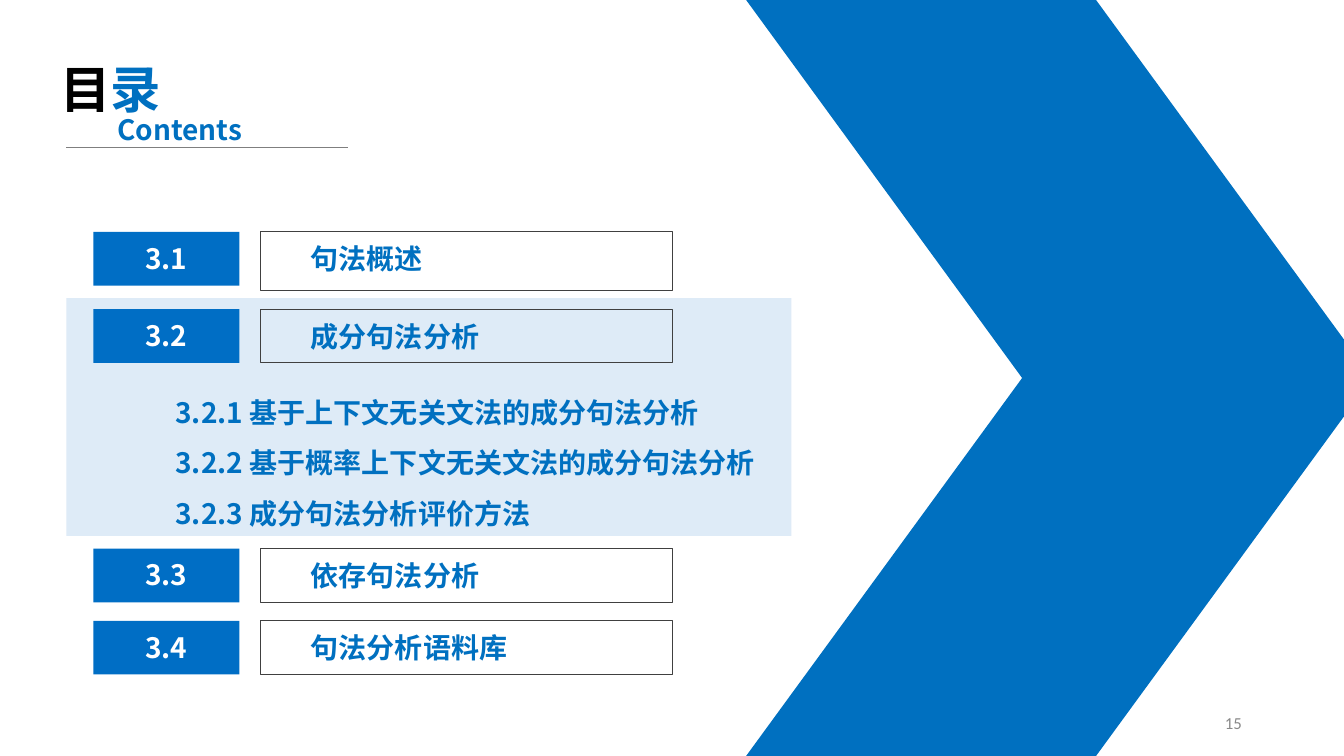
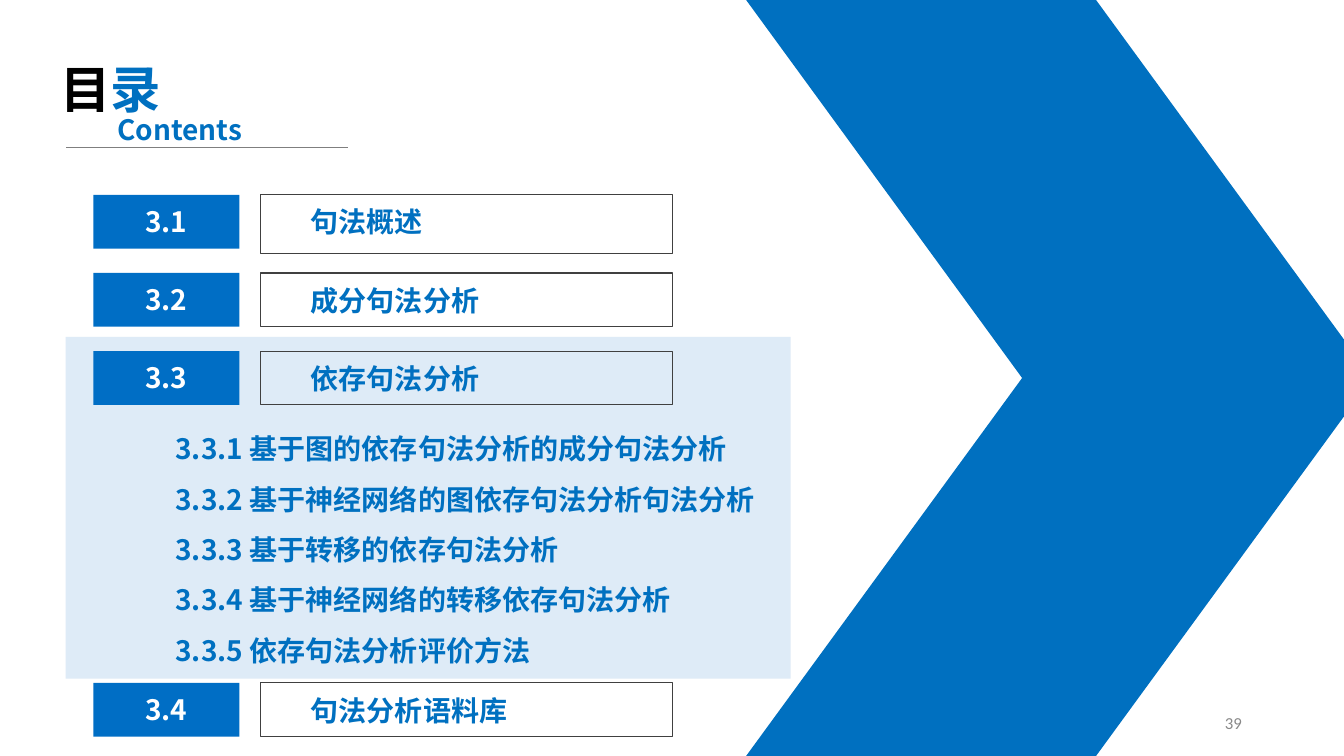
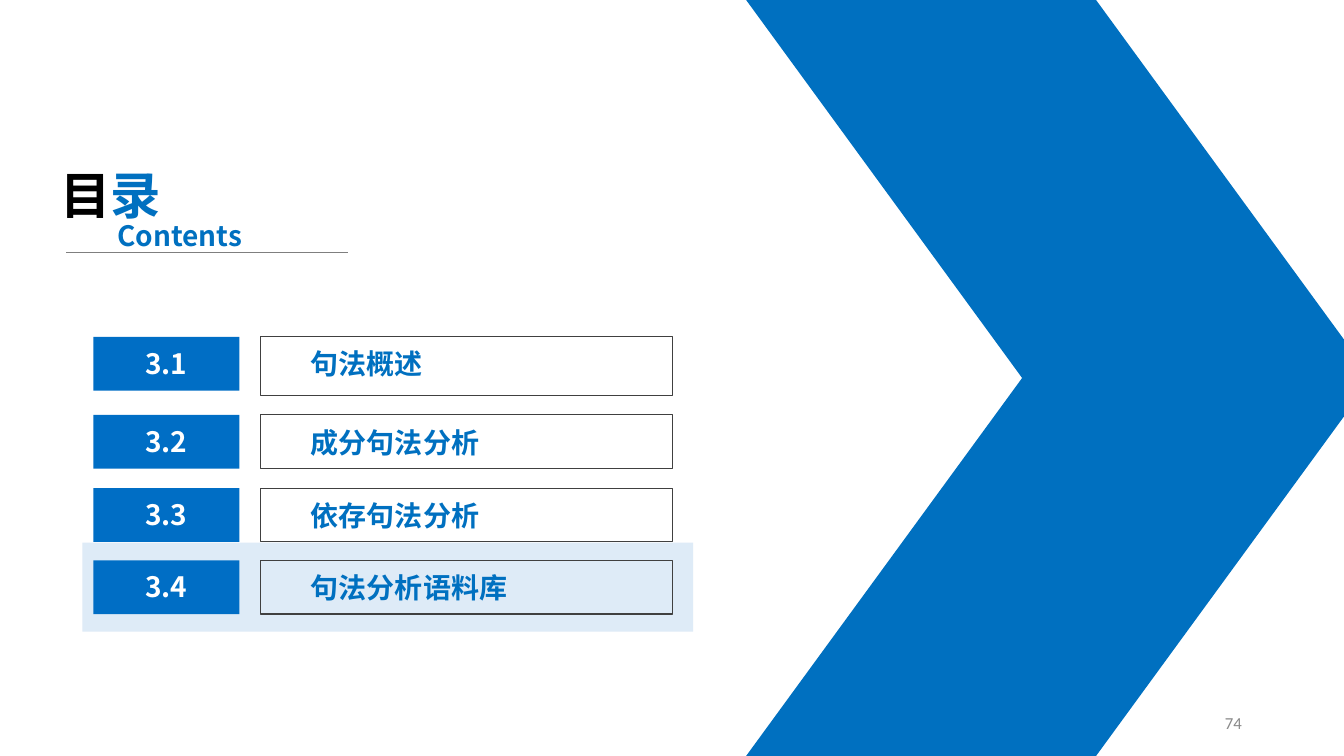
from dataclasses import dataclass

from lxml import etree
from pptx import Presentation
from pptx.dml.color import RGBColor
from pptx.enum.shapes import MSO_CONNECTOR, MSO_SHAPE
from pptx.enum.text import MSO_ANCHOR, PP_ALIGN
from pptx.oxml.ns import qn
from pptx.util import Emu, Inches, Pt

RECT, PARALLELOGRAM = MSO_SHAPE.RECTANGLE, MSO_SHAPE.PARALLELOGRAM
STRAIGHT = MSO_CONNECTOR.STRAIGHT
TOP, MIDDLE = MSO_ANCHOR.TOP, MSO_ANCHOR.MIDDLE
LEFT, CENTER, RIGHT = PP_ALIGN.LEFT, PP_ALIGN.CENTER, PP_ALIGN.RIGHT

WIDTH, HEIGHT = Inches(13.33), Inches(7.5)
ROWS = 90
CELL = HEIGHT / ROWS  # square cells, 160 columns by 90 rows

COLORS = {
    "blue": "0070C0", "badge": "006EC5", "panel": "DEEBF7", "white": "FFFFFF",
    "black": "000000", "border": "404040", "rule": "7F7F7F", "page": "898989",
}
HEADING = "Noto Sans CJK SC"
ITEM = {"name": HEADING, "size": Pt(20), "bold": True}
TITLE = ITEM | {"size": Pt(36)}
PAGE = {"name": "Calibri", "size": Pt(12), "bold": False}

BADGE_LEFT, BADGE_WIDTH = 11.1, 17.4
LABEL_LEFT, LABEL_WIDTH = 31, 49
ITEM_HEIGHT, FIRST_LABEL_HEIGHT = 6.4, 7
TOPICS = ("句法概述", "成分句法分析", "依存句法分析", "句法分析语料库")


@dataclass(frozen=True)
class Box:
    """A rectangle in grid columns and rows."""
    left: float
    top: float
    width: float
    height: float

    def emu(self) -> list[Emu]:
        return [grid(v) for v in (self.left, self.top, self.width, self.height)]


@dataclass(frozen=True)
class Contents:
    page: int
    title_top: float
    item_tops: tuple[float, ...]
    panel: Box
    subtopics_top: float = 0
    subtopics: tuple[str, ...] = ()


SLIDES = (
    Contents(15, 6.3, (27.6, 36.8, 65.3, 73.9), Box(7.9, 35.5, 86.3, 28.3), 44.5, (
        "3.2.1 基于上下文无关文法的成分句法分析",
        "3.2.2 基于概率上下文无关文法的成分句法分析",
        "3.2.3 成分句法分析评价方法",
    )),
    Contents(39, 6.3, (23.2, 32.5, 41.8, 81.3), Box(7.8, 40.1, 86.3, 40.7), 48.8, (
        "3.3.1 基于图的依存句法分析的成分句法分析",
        "3.3.2 基于神经网络的图依存句法分析句法分析",
        "3.3.3 基于转移的依存句法分析",
        "3.3.4 基于神经网络的转移依存句法分析",
        "3.3.5 依存句法分析评价方法",
    )),
    Contents(74, 18.9, (40.1, 49.4, 58.1, 66.7), Box(9.8, 64.6, 72.7, 10.6)),
)


def grid(cells: float) -> Emu:
    return Emu(round(cells * CELL))


def rgb(color: str) -> RGBColor:
    return RGBColor.from_string(COLORS[color])


def add_run(p, text: str, color: str, style: dict) -> None:
    r = p.add_run()
    r.text = text
    for name, value in style.items():
        setattr(r.font, name, value)
    r.font.color.rgb = rgb(color)
    ea = etree.SubElement(r.font._element, qn("a:ea"))
    ea.set("typeface", style["name"])


def format_frame(tf, insets: tuple[float, float], anchor=TOP) -> None:
    """Wrap the text, with side and top insets given in cells."""
    side, top = map(grid, insets)
    values = {"word_wrap": True, "vertical_anchor": anchor, "margin_left": side,
              "margin_right": side, "margin_top": top, "margin_bottom": 0}
    for name, value in values.items():
        setattr(tf, name, value)


def add_text(slide, box: Box, lines: list, style: dict, align=LEFT,
             anchor=TOP, spacing: float = 1.0) -> None:
    """Add a text box; each line is a list of (text, color) runs."""
    tf = slide.shapes.add_textbox(*box.emu()).text_frame
    format_frame(tf, (1.2, 0.6), anchor)
    for i, runs in enumerate(lines):
        p = tf.add_paragraph() if i else tf.paragraphs[0]
        p.alignment, p.line_spacing = align, spacing
        for text, color in runs:
            add_run(p, text, color, style)


def add_block(slide, box: Box, fill: str = "", line: str = "", kind=RECT):
    s = slide.shapes.add_shape(kind, *box.emu())
    s.shadow.inherit = False
    if fill:
        s.fill.solid()
        s.fill.fore_color.rgb = rgb(fill)
    else:
        s.fill.background()
    if line:
        s.line.color.rgb = rgb(line)
        s.line.width = Pt(0.75)
    else:
        s.line.fill.background()
    return s


def fill_block(s, text: str, color: str, insets: tuple[float, float], align) -> None:
    format_frame(s.text_frame, insets)
    p = s.text_frame.paragraphs[0]
    p.alignment = align
    add_run(p, text, color, ITEM)


def add_chevron(slide) -> None:
    """Mirror two parallelograms about the middle of the slide."""
    half = ROWS / 2
    for top, flipped in ((half, False), (0, True)):
        s = add_block(slide, Box(88.8, top, 74.5, half), "blue", kind=PARALLELOGRAM)
        s.adjustments[0] = 0.73
        if flipped:
            s._element.spPr.get_or_add_xfrm().set("flipV", "1")


def add_title(slide, top: float) -> None:
    add_text(slide, Box(6, top, 18.8, 8.5), [[("目", "black"), ("录", "blue")]], TITLE)
    add_text(slide, Box(12.8, top + 6.5, 18.8, 5.3), [[("Contents", "blue")]], ITEM)
    y = grid(top + 11.2)
    rule = slide.shapes.add_connector(STRAIGHT, grid(7.9), y, grid(41.4), y)
    rule.line.color.rgb = rgb("rule")
    rule.line.width = Pt(0.5)
    etree.SubElement(rule._element.spPr, qn("a:effectLst"))


def add_items(slide, tops: tuple[float, ...]) -> None:
    for i, (top, topic) in enumerate(zip(tops, TOPICS)):
        height = ITEM_HEIGHT if i else FIRST_LABEL_HEIGHT
        label = add_block(slide, Box(LABEL_LEFT, top, LABEL_WIDTH, height), line="border")
        fill_block(label, topic, "blue", (6, 1.2), LEFT)
        badge = add_block(slide, Box(BADGE_LEFT, top, BADGE_WIDTH, ITEM_HEIGHT), "badge")
        fill_block(badge, f"3.{i + 1}", "white", (1.2, 1.1), CENTER)


def add_contents(prs, contents: Contents) -> None:
    slide = prs.slides.add_slide(prs.slide_layouts[6])
    add_block(slide, contents.panel, "panel")
    if contents.subtopics:
        lines = [[(text, "blue")] for text in contents.subtopics]
        box = Box(19.7, contents.subtopics_top, 74.5, 6 * len(lines) + 0.7)
        add_text(slide, box, lines, ITEM, spacing=1.5)
    add_chevron(slide)
    add_items(slide, contents.item_tops)
    add_title(slide, contents.title_top)
    add_text(slide, Box(113, 83.4, 36, 4.8), [[(str(contents.page), "page")]],
             PAGE, RIGHT, MIDDLE)


def main() -> None:
    prs = Presentation()
    prs.slide_width, prs.slide_height = WIDTH, HEIGHT
    for contents in SLIDES:
        add_contents(prs, contents)
    prs.save("out.pptx")


if __name__ == "__main__":
    main()
